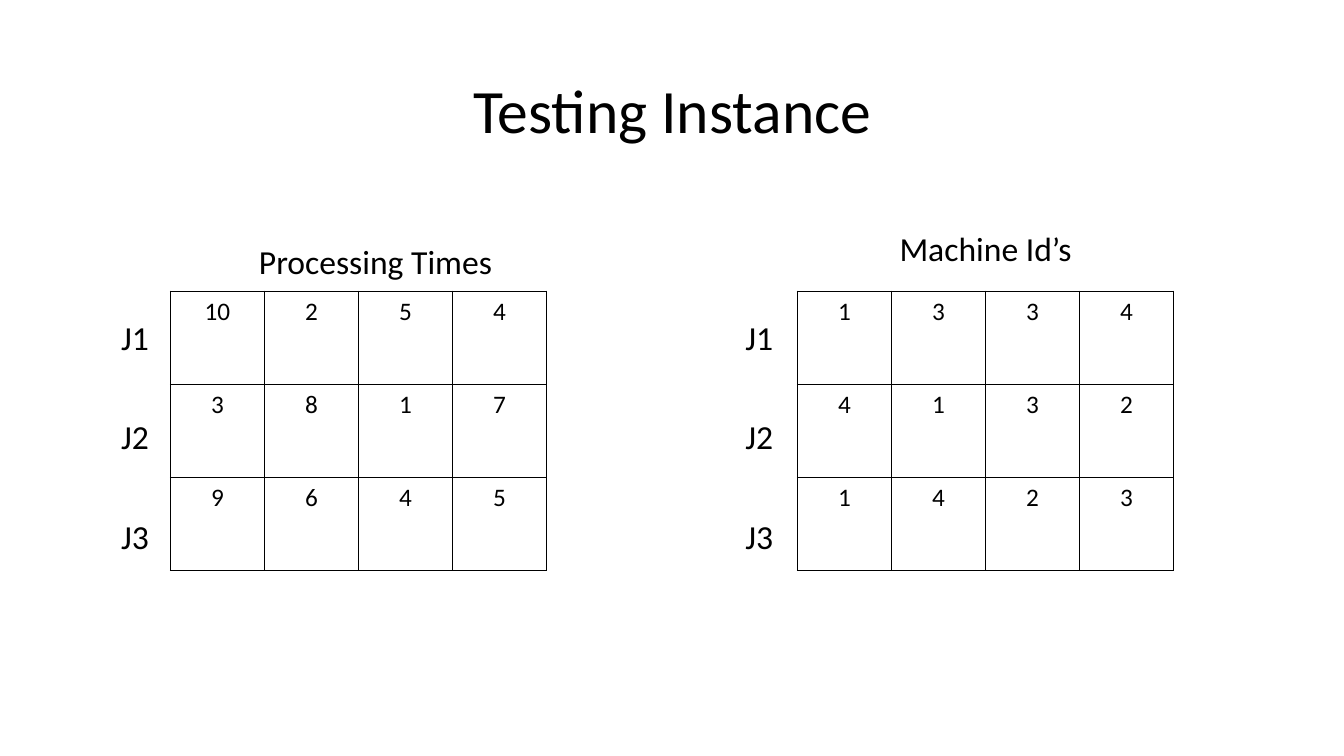
from dataclasses import dataclass

from lxml.etree import SubElement
from pptx import Presentation
from pptx.dml.color import RGBColor
from pptx.enum.text import MSO_ANCHOR, PP_ALIGN
from pptx.oxml.ns import qn
from pptx.slide import Slide
from pptx.table import _Cell
from pptx.text.text import TextFrame
from pptx.util import Inches, Pt

COLORS = {"text": "000000", "border": "000000", "background": "FFFFFF"}
FONT = "Calibri"
TABLE_TOP, TABLE_WIDTH, TABLE_HEIGHT = 2.89, 3.73, 2.77
LABEL_TOP, LABEL_STEP, LABEL_WIDTH, TEXT_HEIGHT = 3.09, 0.99, 1.86, 0.5


@dataclass(frozen=True)
class JobMatrix:
    """A captioned table with one row per job."""

    caption: str
    caption_left: float
    caption_top: float
    table_left: float
    label_left: float
    rows: tuple[tuple[int, ...], ...]


MATRICES = (
    JobMatrix("Processing Times", 1.86, 2.34, 1.69, 0.41,
              ((10, 2, 5, 4), (3, 8, 1, 7), (9, 6, 4, 5))),
    JobMatrix("Machine Id’s", 7.91, 2.21, 7.91, 6.6,
              ((1, 3, 3, 4), (4, 1, 3, 2), (1, 4, 2, 3))),
)


def write_text(frame: TextFrame, text: str, *, size: float,
               line_spacing: float = 1.0) -> None:
    """Write one centred, formatted paragraph."""
    frame.word_wrap = True
    paragraph = frame.paragraphs[0]
    paragraph.alignment = PP_ALIGN.CENTER
    paragraph.line_spacing = line_spacing
    run = paragraph.add_run()
    run.text = text
    run.font.name = FONT
    run.font.size = Pt(size)
    run.font.color.rgb = RGBColor.from_string(COLORS["text"])


def add_label(slide: Slide, text: str, left: float, top: float, width: float) -> None:
    """Add a centred text box."""
    box = slide.shapes.add_textbox(Inches(left), Inches(top), Inches(width), Inches(TEXT_HEIGHT))
    write_text(box.text_frame, text, size=24)


def format_cell(cell: _Cell) -> None:
    """Give a cell thin borders and no fill."""
    properties = cell._tc.get_or_add_tcPr()
    for side in ("a:lnL", "a:lnR", "a:lnT", "a:lnB"):
        line = SubElement(properties, qn(side), w=str(Pt(1)))
        fill = SubElement(line, qn("a:solidFill"))
        SubElement(fill, qn("a:srgbClr"), val=COLORS["border"])
    cell.fill.background()


def add_matrix(slide: Slide, matrix: JobMatrix) -> None:
    """Draw the table, its caption and its job labels."""
    row_count, column_count = len(matrix.rows), len(matrix.rows[0])
    table = slide.shapes.add_table(
        row_count, column_count, Inches(matrix.table_left), Inches(TABLE_TOP),
        Inches(TABLE_WIDTH), Inches(TABLE_HEIGHT)).table
    table.first_row = False
    table.horz_banding = False
    for row_index, values in enumerate(matrix.rows):
        for column_index, value in enumerate(values):
            cell = table.cell(row_index, column_index)
            format_cell(cell)
            write_text(cell.text_frame, str(value), size=18)
    add_label(slide, matrix.caption, matrix.caption_left, matrix.caption_top, TABLE_WIDTH)
    for index in range(row_count):
        add_label(slide, f"J{index + 1}", matrix.label_left,
                  LABEL_TOP + index * LABEL_STEP, LABEL_WIDTH)


def main() -> None:
    """Build and save the slide."""
    presentation = Presentation()
    presentation.slide_width = Inches(13.33)
    presentation.slide_height = Inches(7.5)
    slide = presentation.slides.add_slide(presentation.slide_layouts[5])
    slide.background.fill.solid()
    slide.background.fill.fore_color.rgb = RGBColor.from_string(COLORS["background"])
    title = slide.shapes.title
    title.left, title.top = Inches(0.92), Inches(0.4)
    title.width, title.height = Inches(11.5), Inches(1.45)
    title.text_frame.vertical_anchor = MSO_ANCHOR.MIDDLE
    write_text(title.text_frame, "Testing Instance", size=44, line_spacing=0.9)
    for matrix in MATRICES:
        add_matrix(slide, matrix)
    presentation.save("out.pptx")


if __name__ == "__main__":
    main()
